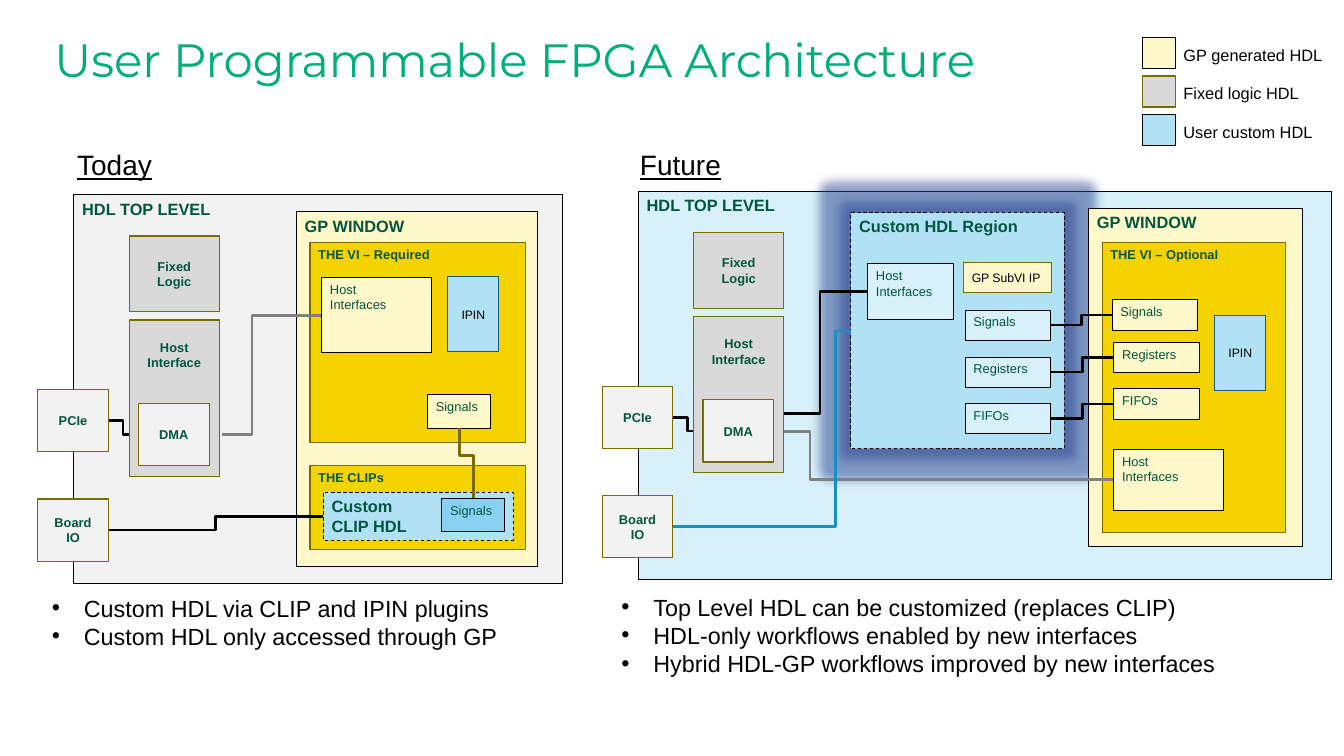
from dataclasses import dataclass, field

from lxml import etree
from pptx import Presentation
from pptx.dml.color import RGBColor
from pptx.enum.dml import MSO_LINE
from pptx.enum.shapes import MSO_CONNECTOR, MSO_SHAPE
from pptx.enum.text import MSO_ANCHOR, PP_ALIGN
from pptx.oxml.ns import qn
from pptx.util import Inches, Pt

RECTANGLE = MSO_SHAPE.RECTANGLE
ELBOW = MSO_CONNECTOR.ELBOW
DASH = MSO_LINE.DASH
TOP, MIDDLE, BOTTOM = MSO_ANCHOR.TOP, MSO_ANCHOR.MIDDLE, MSO_ANCHOR.BOTTOM
LEFT, CENTER = PP_ALIGN.LEFT, PP_ALIGN.CENTER


def text_style(size, color, name="Arial", **extra):
    return {"color": color, "font": {"name": name, "size": Pt(size), **extra}}


@dataclass(frozen=True)
class Theme:
    black: str = "000000"
    gray: str = "808080"
    olive: str = "7A6A00"
    blue: str = "188FC2"
    glow: str = "233E8A"
    wire_width: float = 2.25
    boxes: dict = field(default_factory=lambda: {
        "panel": ("F2F2F2", "000000", 0.75),
        "custom panel": ("D8F0FA", "000000", 0.75),
        "generated": ("FFF8CA", "000000", 0.75),
        "generated ip": ("FFF8CA", "7A6A00", 0.75),
        "vi": ("F5D300", "7A6A00", 1),
        "fixed": ("D9D9D9", "7A6A00", 1),
        "port": ("F2F2F2", "7A6A00", 1),
        "custom": ("B1E1F5", "000000", 0.75),
        "plugin": ("B1E1F5", "105F82", 0.75),
        "clip signal": ("8AD1F1", "000000", 0.75),
    })
    texts: dict = field(default_factory=lambda: {
        "title": text_style(40, "00AD7C", "Montserrat"),
        "heading": text_style(24, "000000", underline=True),
        "bullet": text_style(20, "000000"),
        "legend": text_style(14, "000000"),
        "region": text_style(14, "00563E", bold=True),
        "block": text_style(11, "00563E", bold=True),
        "label": text_style(11, "00563E"),
        "ip": text_style(10.5, "000000"),
    })


THEME = Theme()


def rgb(value):
    return RGBColor.from_string(value)


def set_values(target, values):
    for name, value in values.items():
        setattr(target, name, value)


def write(frame, text, style, align=LEFT, bulleted=False, **frame_values):
    set_values(frame, {"word_wrap": True, "vertical_anchor": TOP, **frame_values})
    look = THEME.texts[style]
    for index, line in enumerate(text.split("\n")):
        paragraph = frame.add_paragraph() if index else frame.paragraphs[0]
        paragraph.alignment = align
        if bulleted:
            properties = paragraph._p.get_or_add_pPr()
            properties.set("marL", str(Inches(0.38)))
            properties.set("indent", str(Inches(-0.38)))
            etree.SubElement(properties, qn("a:buFont"), typeface="Arial")
            etree.SubElement(properties, qn("a:buChar"), char="•")
        run = paragraph.add_run()
        run.text = line
        set_values(run.font, look["font"])
        run.font.color.rgb = rgb(look["color"])


def add_text(slide, at, text, style, **options):
    label = slide.shapes.add_textbox(*map(Inches, at))
    write(label.text_frame, text, style, **options)


def add_box(slide, at, kind, text="", style="label", dashed=False, **options):
    box = slide.shapes.add_shape(RECTANGLE, *map(Inches, at))
    fill, line, width = THEME.boxes[kind]
    box.shadow.inherit = False
    box.fill.solid()
    box.fill.fore_color.rgb = rgb(fill)
    box.line.color.rgb = rgb(line)
    box.line.width = Pt(width)
    if dashed:
        box.line.dash_style = DASH
    if text:
        write(box.text_frame, text, style, **options)
    return box


def add_glow(box, radius, opacity):
    effects = box._element.spPr.find(qn("a:effectLst"))
    glow = etree.SubElement(effects, qn("a:glow"), rad=str(Inches(radius)))
    color = etree.SubElement(glow, qn("a:srgbClr"), val=THEME.glow)
    etree.SubElement(color, qn("a:alpha"), val=str(opacity * 1000))


def add_wire(slide, start, end, color=THEME.black, bend=0.5, downward=False):
    (x1, y1), (x2, y2) = start, end
    if downward:
        mid_x, mid_y = (x1 + x2) / 2, (y1 + y2) / 2
        half_x, half_y = (x2 - x1) / 2, (y2 - y1) / 2
        x1, y1 = mid_x + half_y, mid_y - half_x
        x2, y2 = mid_x - half_y, mid_y + half_x
    wire = slide.shapes.add_connector(ELBOW, *map(Inches, (x1, y1, x2, y2)))
    wire.line.color.rgb = rgb(color)
    wire.line.width = Pt(THEME.wire_width)
    properties = wire._element.spPr
    if downward:
        properties.find(qn("a:xfrm")).set("rot", str(270 * 60000))
    geometry = properties.find(qn("a:prstGeom"))
    adjustments = geometry.find(qn("a:avLst"))
    if adjustments is None:
        adjustments = etree.SubElement(geometry, qn("a:avLst"))
    etree.SubElement(adjustments, qn("a:gd"), name="adj1", fmla=f"val {round(bend * 100000)}")
    etree.SubElement(properties, qn("a:effectLst"))


def add_fixed_side(slide, dx, dy):
    centered = {"style": "block", "align": CENTER, "vertical_anchor": MIDDLE}
    add_wire(slide, (1.28 + dx, 5.01 + dy), (1.65 + dx, 5.17 + dy))
    add_box(slide, (1.54 + dx, 2.81 + dy, 1.07, 0.9), "fixed", "Fixed\nLogic", **centered)
    add_box(slide, (1.54 + dx, 3.81 + dy, 1.07, 1.86), "fixed", "Host Interface", "block",
            align=CENTER, margin_top=Inches(0.23))
    ports = ((0.45, 4.64, "PCIe"), (0.45, 5.94, "Board IO"), (1.65, 4.8, "DMA"))
    for left, top, name in ports:
        add_box(slide, (left + dx, top + dy, 0.84, 0.74), "port", name, **centered)


def add_ipin(slide, left, top):
    add_box(slide, (left, top, 0.61, 0.9), "plugin", "IPIN", "ip",
            align=CENTER, vertical_anchor=MIDDLE)


def add_legend(slide):
    entries = (("generated", "GP generated HDL"), ("fixed", "Fixed logic HDL"),
               ("custom", "User custom HDL"))
    for row, (kind, name) in enumerate(entries):
        top = 0.45 + 0.455 * row
        add_box(slide, (13.6, top, 0.39, 0.37), kind)
        add_text(slide, (13.99, top + 0.04, 1.95, 0.34), name, "legend")


def add_today(slide):
    add_text(slide, (0.82, 1.71, 1.42, 0.52), "Today", "heading")
    add_box(slide, (0.88, 2.32, 5.82, 4.62), "panel", "HDL TOP LEVEL", "region")
    add_box(slide, (3.53, 2.52, 2.87, 4.22), "generated", "GP WINDOW", "region")
    add_box(slide, (3.69, 2.89, 2.57, 2.38), "vi", "THE VI – Required", "block")
    add_box(slide, (3.69, 5.54, 2.57, 1), "vi", "THE CLIPs", "block")
    add_box(slide, (3.85, 5.86, 2.26, 0.57), "custom", "Custom\nCLIP HDL", "region", dashed=True)
    add_wire(slide, (2.64, 5.17), (3.94, 3.76), THEME.gray, 0.276)
    add_box(slide, (3.83, 3.3, 1.31, 0.9), "generated", "Host\nInterfaces")
    add_ipin(slide, 5.33, 3.29)
    add_box(slide, (5.09, 4.7, 0.75, 0.4), "generated", "Signals")
    add_box(slide, (5.26, 5.93, 0.75, 0.4), "clip signal", "Signals")
    add_wire(slide, (5.47, 5.1), (5.64, 5.93), THEME.olive, 0.39, downward=True)
    add_wire(slide, (3.85, 6.15), (1.28, 6.31))
    add_fixed_side(slide, 0, 0)
    add_text(slide, (0.52, 7.02, 6.18, 0.77),
             "Custom HDL via CLIP and IPIN plugins\nCustom HDL only accessed through GP",
             "bullet", bulleted=True)


def add_future(slide):
    add_text(slide, (7.52, 1.71, 1.42, 0.52), "Future", "heading")
    add_box(slide, (7.6, 2.28, 8.25, 4.62), "custom panel", "HDL TOP LEVEL", "region")
    region = add_box(slide, (10.13, 2.53, 2.54, 2.81), "custom", "Custom HDL Region", "region",
                     dashed=True)
    add_glow(region, 0.25, 50)
    add_box(slide, (12.96, 2.48, 2.54, 4.03), "generated", "GP WINDOW", "region")
    add_box(slide, (13.12, 2.89, 2.18, 3.45), "vi", "THE VI – Optional", "block")
    add_box(slide, (10.33, 3.14, 1.02, 0.66), "custom panel", "Host\nInterfaces")
    add_box(slide, (11.47, 3.12, 1.05, 0.36), "generated ip", "GP SubVI IP", "ip",
            vertical_anchor=MIDDLE)
    add_wire(slide, (9.2, 5.14), (13.26, 5.71), THEME.gray, 0.109)
    add_wire(slide, (10.13, 3.94), (8, 6.27), THEME.blue, 0.086)
    add_wire(slide, (10.33, 3.47), (9.2, 4.92))
    add_box(slide, (13.26, 5.35, 1.31, 0.73), "generated", "Host\nInterfaces")
    add_ipin(slide, 14.46, 3.75)
    links = (("Signals", 3.69, 13.24, 3.57), ("Registers", 4.25, 13.26, 4.08),
             ("FIFOs", 4.8, 13.26, 4.63))
    for name, region_top, window_left, window_top in links:
        add_wire(slide, (12.51, region_top + 0.18), (window_left, window_top + 0.18))
        add_box(slide, (11.49, region_top, 1.02, 0.36), "custom panel", name)
        add_box(slide, (window_left, window_top, 1.02, 0.36), "generated", name)
    add_fixed_side(slide, 6.72, -0.04)
    add_text(slide, (7.3, 7.01, 8.37, 1.11),
             "Top Level HDL can be customized (replaces CLIP)\n"
             "HDL-only workflows enabled by new interfaces\n"
             "Hybrid HDL-GP workflows improved by new interfaces",
             "bullet", bulleted=True)


def main():
    deck = Presentation()
    set_values(deck, {"slide_width": Inches(16), "slide_height": Inches(9)})
    slide = deck.slides.add_slide(deck.slide_layouts[6])
    add_text(slide, (0.55, 0.36, 14.9, 0.76), "User Programmable FPGA Architecture", "title",
             vertical_anchor=BOTTOM, margin_top=Inches(0.08), margin_bottom=Inches(0.08))
    add_legend(slide)
    add_today(slide)
    add_future(slide)
    deck.save("out.pptx")


if __name__ == "__main__":
    main()
